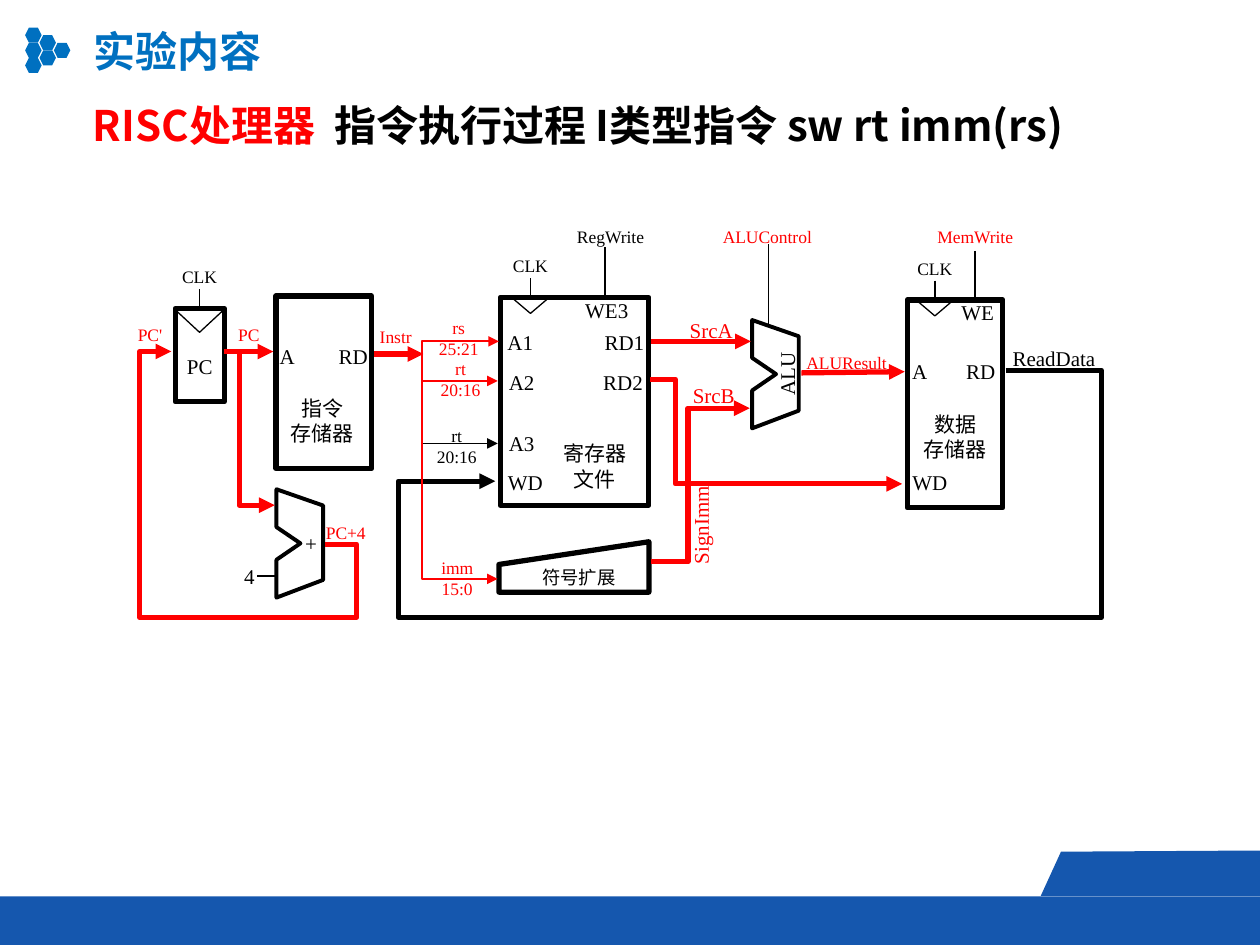
from dataclasses import dataclass

from lxml.etree import SubElement
from pptx import Presentation
from pptx.dml.color import RGBColor
from pptx.enum.shapes import MSO_CONNECTOR, MSO_SHAPE
from pptx.enum.text import MSO_ANCHOR, MSO_AUTO_SIZE, PP_ALIGN
from pptx.oxml.ns import qn
from pptx.util import Pt

RED = RGBColor(0xFF, 0, 0)
BLACK = RGBColor(0, 0, 0)
BLUE = RGBColor(0x00, 0x70, 0xC0)
NAVY = RGBColor(0x15, 0x57, 0xAE)
SERIF, SANS = "Times New Roman", "Noto Sans CJK SC"
Point = tuple[float, float]


@dataclass
class Label:
    text: str
    x: float
    y: float
    w: float
    size: float = 12
    color: RGBColor = BLACK
    tight: bool = False
    font: str = SERIF
    rows: int = 1
    turn: int = 0


@dataclass
class Wire:
    """Bends are the x, y, x positions where an elbow turns."""
    start: Point
    end: Point
    color: RGBColor = BLACK
    width: float = 1
    bends: tuple[float, ...] = ()
    arrow: bool = True


@dataclass
class Clock:
    mid: float
    top: float
    w: float = 20.2
    h: float = 8.6


BOXES = [(518.4, 171.4, 54.7, 118.8), (157.7, 169.2, 54.7, 98.6),
         (285.8, 169.9, 85, 118.8), (100.1, 176.4, 28.1, 53.3)]
CLOCKS = [Clock(534.2, 171.4), Clock(303.1, 170), Clock(114, 176.4, 28, 13)]
ALU = [(429.8, 182.9), (456.5, 192.2), (456.5, 234.7), (429.8, 244.8),
       (429.8, 223.2), (443.5, 213.8), (429.8, 204.5)]
ADDER = [(x - 271.8, y + 96.7) for x, y in ALU]
EXTEND = [(285.1, 322.6), (370.8, 309.6), (370.8, 338.4), (285.1, 338.4)]
BANNER = [(720, 512), (720, 486), (606.3, 486.7), (594.7, 512)]

WIRES = [
    Wire((345.6, 141.1), (345.6, 169.9), arrow=False),
    Wire((557.3, 143.3), (557.3, 171.4), arrow=False),
    Wire((439.2, 139.7), (439.2, 185), width=0.75, arrow=False),
    Wire((146.9, 329), (158.4, 329), arrow=False),
    Wire((241.9, 253.4), (284.4, 253.4)),
    Wire((574.6, 211.7), (283, 275), width=3, bends=(629.3, 352.8, 227.5)),
    Wire((128.2, 200.9), (156.2, 200.9), RED, 3),
    Wire((213.8, 202.3), (241.9, 202.3), RED, 3),
    Wire((372.2, 195.1), (429.1, 195.1), RED, 3),
    Wire((457.9, 213.1), (517, 212.4), RED, 3),
    Wire((372.2, 321.1), (428.4, 233.3), RED, 3, (393.1,)),
    Wire((371.5, 216.7), (515.5, 276.5), RED, 3, (385.9,)),
    Wire((129.6, 200.9), (157, 288.7), RED, 3, (136.8,)),
    Wire((185.8, 311), (97.9, 200.9), RED, 3, (203.8, 352.8, 79.9)),
    Wire((241.2, 202.3), (285.1, 195.1), RED, 1, (241.2,)),
    Wire((241.2, 201.6), (284.4, 330.8), RED, 1, (241.2,)),
    Wire((241.9, 217.7), (284.4, 217.7), RED),
]

LABELS = [
    Label("数据\n存储器", 517, 231.8, 57.6, font=SANS, rows=2),
    Label("指令\n存储器", 155.5, 222.5, 57.6, font=SANS, rows=2),
    Label("寄存器文件", 311, 248.4, 57.6, font=SANS, rows=2),
    Label("符号扩展", 293.8, 319.7, 74.2, 10.5, font=SANS),
    Label("A", 514.1, 201.6, 23),
    Label("WE", 540, 167.8, 37.4),
    Label("RD", 543.6, 201.6, 33.8),
    Label("WD", 511.2, 265, 40.3),
    Label("A", 152.6, 193, 23),
    Label("RD", 185, 193, 33.8),
    Label("RD1", 337, 185, 39.6),
    Label("RD2", 336.2, 207.4, 39.6),
    Label("WD", 280.1, 265, 40.3),
    Label("WE3", 323.3, 169.9, 46.8, tight=True),
    Label("A1", 282.2, 185, 30.2),
    Label("A2", 283, 207.4, 30.2),
    Label("A3", 283, 242.6, 30.2),
    Label("PC", 97.9, 198.7, 32.4),
    Label("ALU", 426.2, 203, 46.8, turn=270),
    Label("ReadData", 567.4, 193.7, 69.8),
    Label("+", 169.9, 303.1, 15.8, tight=True),
    Label("4", 134.6, 321.8, 15.8, tight=True),
    Label("SrcA", 383, 177.8, 46.8, color=RED),
    Label("SrcB", 384.5, 215.3, 46.8, color=RED),
    Label("SignImm", 370.8, 289.4, 59, color=RED, turn=270),
    Label("PC", 126, 181.4, 32.4, 10, RED),
    Label("Instr", 207.4, 182.9, 37.4, 10, RED),
    Label("rs\n25:21", 243.4, 177.8, 37.4, 10, RED, rows=2),
    Label("rt\n20:16", 244.1, 200.9, 38.2, 10, RED, rows=2),
    Label("imm\n15:0", 242.6, 314.6, 37.4, 10, RED, rows=2),
    Label("rt\n20:16", 244.8, 242.6, 32.4, 10, tight=True, rows=2),
    Label("RegWrite", 320.4, 128.9, 56.9, 10, tight=True),
    Label("ALUControl", 406.1, 129.2, 64.8, 10, RED, True),
    Label("ALUResult", 451.4, 200.9, 64.8, 10, RED, True),
    Label("MemWrite", 533.5, 128.9, 47.5, 10, RED, True),
    Label("PC+4", 181.4, 298.1, 32.4, 10, RED, True),
    Label("PC'", 75.6, 185, 20.2, 10, RED, True),
]

deck = Presentation()
deck.slide_width, deck.slide_height = Pt(720), Pt(540)
slide = deck.slides.add_slide(deck.slide_layouts[5])
shapes = slide.shapes


def write(frame, lines, size: float, font: str, bold=False,
          align=PP_ALIGN.CENTER, inset: Point = (7.2, 3.6)) -> None:
    """Fill a frame with lines, each a list of (text, colour) runs."""
    side, top = (Pt(n) for n in inset)
    looks = dict(word_wrap=True, auto_size=MSO_AUTO_SIZE.NONE,
                 vertical_anchor=MSO_ANCHOR.TOP, margin_left=side,
                 margin_right=side, margin_top=top, margin_bottom=top)
    for key, val in looks.items():
        setattr(frame, key, val)
    for i, line in enumerate(lines):
        para = frame.add_paragraph() if i else frame.paragraphs[0]
        para.alignment, para.line_spacing = align, 1.0
        para.space_before = Pt(0)
        for text, color in line:
            run = para.add_run()
            run.text = text
            for key, val in dict(size=Pt(size), name=font, bold=bold).items():
                setattr(run.font, key, val)
            run.font.color.rgb = color
            SubElement(run._r.get_or_add_rPr(), qn("a:ea"), typeface=SANS)


def put_label(it: Label) -> None:
    inset = (0, 0) if it.tight else (7.2, 3.6)
    high = it.rows * it.size * 1.2 + 2 * inset[1]
    box = shapes.add_textbox(Pt(it.x), Pt(it.y), Pt(it.w), Pt(high))
    box.rotation = it.turn
    write(box.text_frame, [[(t, it.color)] for t in it.text.split("\n")],
          it.size, it.font, inset=inset)


def paint(shape, fill: RGBColor | None = None, width: float = 0) -> None:
    """Give a shape a solid fill or none, and a black outline or none."""
    shape.shadow.inherit = False
    if fill is None:
        shape.fill.background()
    else:
        shape.fill.solid()
        shape.fill.fore_color.rgb = fill
    if width:
        shape.line.color.rgb, shape.line.width = BLACK, Pt(width)
    else:
        shape.line.fill.background()


def put_shape(kind, x: float, y: float, w: float, h: float, **look):
    shape = shapes.add_shape(kind, Pt(x), Pt(y), Pt(w), Pt(h))
    paint(shape, **look)
    return shape


def put_path(spots: list[Point], **look) -> None:
    first, *rest = [(Pt(x), Pt(y)) for x, y in spots]
    form = shapes.build_freeform(*first)
    form.add_line_segments(rest, close=True)
    paint(form.convert_to_shape(), **look)


def put_wire(it: Wire) -> None:
    kind = MSO_CONNECTOR.ELBOW if it.bends else MSO_CONNECTOR.STRAIGHT
    line = shapes.add_connector(kind, *(Pt(n) for n in it.start + it.end))
    line.line.color.rgb, line.line.width = it.color, Pt(it.width)
    props = line._element.spPr
    if it.bends:
        geom = props.find(qn("a:prstGeom"))
        geom.set("prst", f"bentConnector{len(it.bends) + 2}")
        guides = geom.get_or_add_avLst()
        for i, bend in enumerate(it.bends):
            a, b = it.start[i % 2], it.end[i % 2]
            part = round((bend - a) / (b - a) * 100000)
            SubElement(guides, qn("a:gd"), name=f"adj{i + 1}", fmla=f"val {part}")
    if it.arrow:
        SubElement(line.line._get_or_add_ln(), qn("a:tailEnd"), type="triangle")
    SubElement(props, qn("a:effectLst"))


def put_clock(it: Clock) -> None:
    mark = put_shape(MSO_SHAPE.ISOSCELES_TRIANGLE, it.mid - it.w / 2,
                     it.top + 0.5, it.w, it.h, width=0.75)
    mark.rotation = 180
    put_wire(Wire((it.mid, it.top - 11), (it.mid, it.top), arrow=False))
    put_label(Label("CLK", it.mid - 14.4, it.top - 24.2, 28.8, 10, tight=True))


for col in range(3):
    for row in range(3 - col):
        put_shape(MSO_SHAPE.HEXAGON, 14.4 + 8.2 * col,
                  15.8 + 8.65 * (row + col / 2), 9.4, 8.6, fill=BLUE)
put_shape(MSO_SHAPE.RECTANGLE, 0, 512.2, 720, 28, fill=NAVY)
put_path(BANNER, fill=NAVY)

title = shapes.title
title.left, title.top, title.width, title.height = Pt(46), Pt(10.8), Pt(112), Pt(36)
write(title.text_frame, [[("实验内容", BLUE)]], 24, SANS, True, PP_ALIGN.LEFT)
topic = shapes.add_textbox(Pt(46), Pt(53.3), Pt(637), Pt(36))
write(topic.text_frame, [[("RISC处理器  ", RED),
                          ("指令执行过程 I类型指令 sw rt imm(rs)", BLACK)]],
      24, SANS, True, PP_ALIGN.LEFT)

for box in BOXES:
    put_shape(MSO_SHAPE.RECTANGLE, *box, width=3)
for clock in CLOCKS:
    put_clock(clock)
for spots, width in ((ALU, 2.25), (ADDER, 2.25), (EXTEND, 3)):
    put_path(spots, width=width)
for wire in WIRES:
    put_wire(wire)
for label in LABELS:
    put_label(label)

deck.save("out.pptx")
